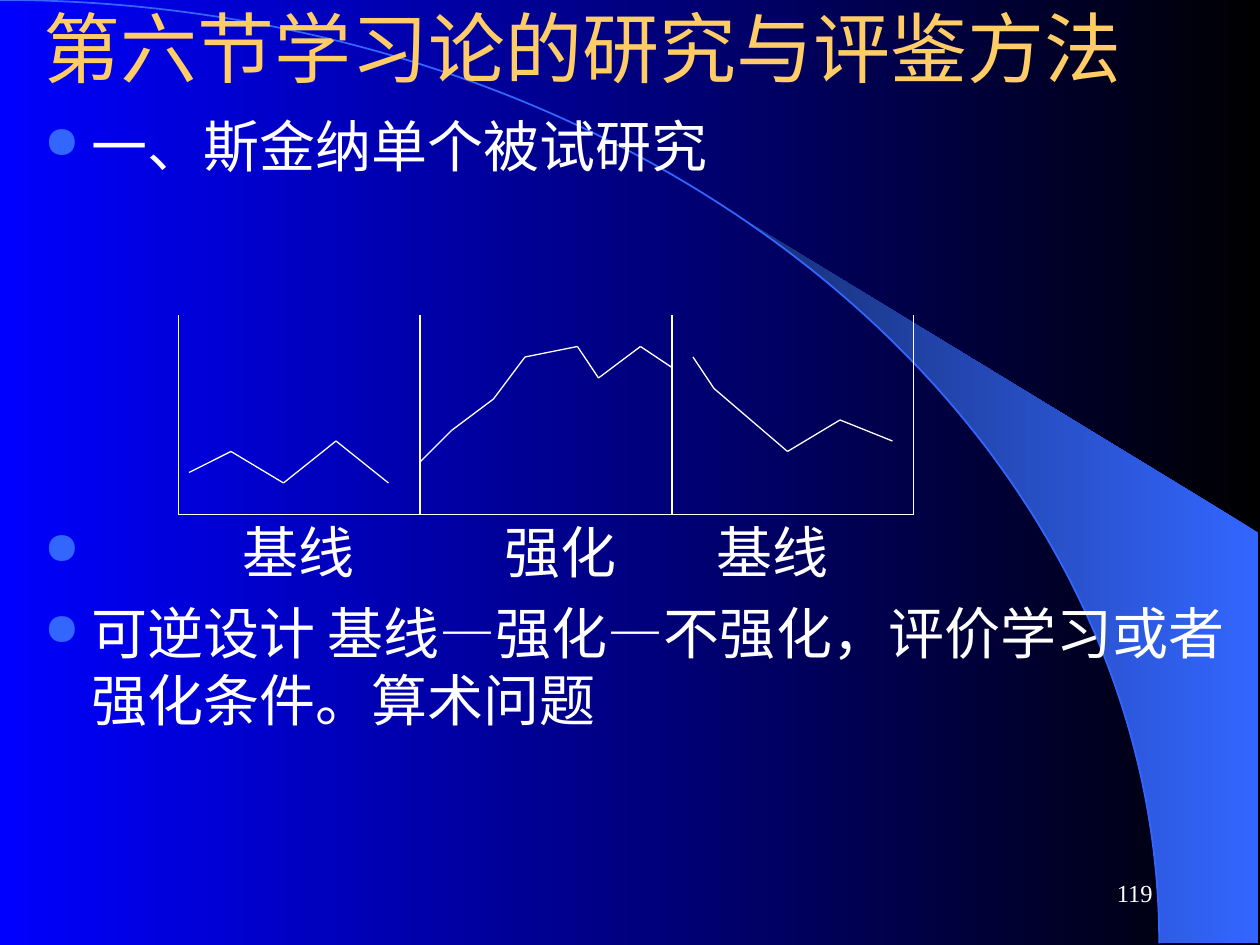
import math
from itertools import pairwise

from lxml import etree
from pptx import Presentation
from pptx.dml.color import RGBColor
from pptx.enum.shapes import MSO_CONNECTOR, MSO_SHAPE
from pptx.enum.text import MSO_ANCHOR, PP_ALIGN
from pptx.oxml.ns import qn
from pptx.util import Cm, Pt

STRAIGHT = MSO_CONNECTOR.STRAIGHT
ARC = MSO_SHAPE.ARC
TOP, MIDDLE = MSO_ANCHOR.TOP, MSO_ANCHOR.MIDDLE
LEFT, CENTER, RIGHT = PP_ALIGN.LEFT, PP_ALIGN.CENTER, PP_ALIGN.RIGHT

WHITE, BLUE, GOLD = "FFFFFF", "3366FF", "FFCC66"
BODY_INDENT = 0.95
LABEL_INDENT = 4.0

presentation = Presentation()
presentation.slide_width, presentation.slide_height = Cm(25.4), Cm(19.05)
slide = presentation.slides.add_slide(presentation.slide_layouts[6])


def paint(target, *colors):
    """One colour fills solid; two make a gradient from right to left."""
    if len(colors) == 1:
        target.solid()
        target.fore_color.rgb = RGBColor.from_string(colors[0])
        return
    target.gradient()
    target.gradient_angle = 180
    for stop, color in zip(target.gradient_stops, colors):
        stop.color.rgb = RGBColor.from_string(color)


def add_text(box, paragraphs, size=32, font="Times New Roman", color=WHITE,
             align=LEFT, anchor=TOP):
    """Each paragraph is (text, space before in pt, bullet indent in cm)."""
    frame = slide.shapes.add_textbox(*(Cm(v) for v in box)).text_frame
    frame.word_wrap = True
    frame.vertical_anchor = anchor
    for number, (text, space, indent) in enumerate(paragraphs):
        paragraph = frame.add_paragraph() if number else frame.paragraphs[0]
        paragraph.alignment = align
        paragraph.space_before = Pt(space)
        if indent:
            props = paragraph._p.get_or_add_pPr()
            props.set("marL", str(Cm(indent)))
            props.set("indent", str(-Cm(indent)))
            bullet_color = etree.SubElement(props, qn("a:buClr"))
            etree.SubElement(bullet_color, qn("a:srgbClr"), val=BLUE)
            etree.SubElement(props, qn("a:buSzPct"), val="80000")
            etree.SubElement(props, qn("a:buChar"), char="●")
        run = paragraph.add_run()
        run.text = text
        run.font.size = Pt(size)
        run.font.name = font
        run.font.color.rgb = RGBColor.from_string(color)


# Background
paint(slide.background.fill, "000000", "0000FF")

# Wedge between the slide's right edge and the quarter ellipse
radius_x, radius_y = 23.37, 19.02
wedge_start = math.asin(14.96 / radius_x)
wedge_steps = 24
wedge_curve = []
for step in range(wedge_steps + 1):
    angle = wedge_start + (math.pi / 2 - wedge_start) * step / wedge_steps
    wedge_curve.append((Cm(radius_x * math.sin(angle)),
                        Cm(radius_y * (1 - math.cos(angle)))))
wedge_builder = slide.shapes.build_freeform(*wedge_curve[0], scale=1.0)
wedge_builder.add_line_segments(
    wedge_curve[1:] + [(Cm(25.37), Cm(radius_y)), (Cm(25.37), Cm(10.74))])
wedge = wedge_builder.convert_to_shape()
wedge.shadow.inherit = False
paint(wedge.fill, BLUE, "172F75")
wedge.line.fill.background()

# Quarter ellipse outline
horizon = slide.shapes.add_shape(
    ARC, Cm(-radius_x), Cm(0), Cm(2 * radius_x), Cm(2 * radius_y))
horizon.shadow.inherit = False
horizon.fill.background()
paint(horizon.line.fill, BLUE)
horizon.line.width = Pt(1)

# Title and body
add_text((0, 0, 23.5, 1.9), [("第六节学习论的研究与评鉴方法", 0, 0)],
         size=44, font="Arial", color=GOLD, align=CENTER, anchor=MIDDLE)
add_text((0.64, 2.12, 25.19, 15.03), [
    ("一、斯金纳单个被试研究", 0, BODY_INDENT),
    ("基线", 193.5, LABEL_INDENT),
    ("可逆设计 基线—强化—不强化，评价学习或者强化条件。算术问题", 8, BODY_INDENT),
])

# Labels of the second and third phase
for phase, left in (("强化", 9.93), ("基线", 14.2)):
    add_text((left, 10.3, 3.5, 1.6), [(phase, 0, 0)])

# Single-subject graph, on a grid of twelfths of an inch
GRID = 2.54 / 12
graph_top, graph_bottom = 30, 49
phase_edges = [17, 40, 64, 87]
graph_paths = [[(x, graph_top), (x, graph_bottom)] for x in phase_edges]
graph_paths += [
    [(phase_edges[0], graph_bottom), (phase_edges[-1], graph_bottom)],
    [(18, 45), (22, 43), (27, 46), (32, 42), (37, 46)],
    [(40, 44), (43, 41), (47, 38), (50, 34), (55, 33), (57, 36), (61, 33), (64, 35)],
    [(66, 34), (68, 37), (75, 43), (80, 40), (85, 42)],
]
for graph_path in graph_paths:
    for start, end in pairwise(graph_path):
        segment = slide.shapes.add_connector(
            STRAIGHT, *(Cm(v * GRID) for v in start + end))
        paint(segment.line.fill, WHITE)
        segment.line.width = Pt(0.75)
        etree.SubElement(segment._element.spPr, qn("a:effectLst"))

# Page number
add_text((18.2, 17.36, 5.29, 1.27), [("119", 0, 0)],
         size=14, align=RIGHT, anchor=MIDDLE)

presentation.save("out.pptx")
